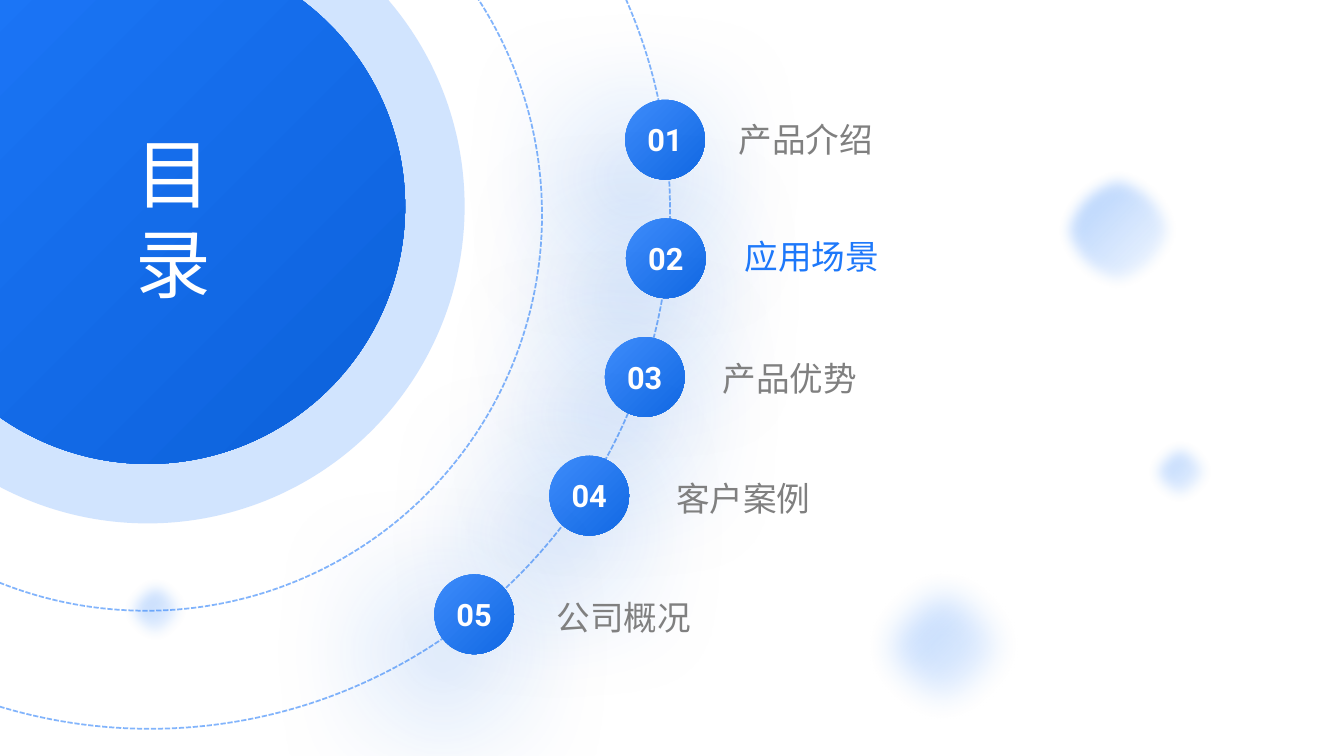
from lxml import etree
from pptx import Presentation
from pptx.dml.color import RGBColor
from pptx.enum.dml import MSO_LINE
from pptx.enum.shapes import MSO_SHAPE
from pptx.enum.text import MSO_ANCHOR, MSO_AUTO_SIZE, PP_ALIGN
from pptx.oxml.ns import qn
from pptx.util import Cm, Pt

OVAL = MSO_SHAPE.OVAL
DASH = MSO_LINE.SQUARE_DOT
MIDDLE = MSO_ANCHOR.MIDDLE
NO_FIT = MSO_AUTO_SIZE.NONE
LEFT, CENTER = PP_ALIGN.LEFT, PP_ALIGN.CENTER

CHINESE, LATIN = "Noto Sans CJK SC", "Roboto"
BLUE, GREY, WHITE = "1D78FA", "808080", "FFFFFF"

TITLE = "目\n录"
HUB = (3.72, 5.2)
HALO_SIZE, DISC_SIZE = 15.98, 12.98
RINGS = [(3.68, 5.41, 19.96), (3.78, 5.26, 26.21)]
TOPICS = [
    ("产品介绍", GREY, 16.76, (20.31, 3.51)),
    ("应用场景", BLUE, 16.78, (20.46, 6.45)),
    ("产品优势", GREY, 16.25, (19.9, 9.53)),
    ("客户案例", GREY, 14.85, (18.73, 12.55)),
    ("公司概况", GREY, 11.95, (15.72, 15.54)),
]
NODE_TOP, NODE_STEP, NODE_SIZE = 3.52, 2.99, 2.01
LABEL_WIDTH, LABEL_HEIGHT = 4.1, 1.27
BLOBS = [
    (23.83, 16.33, 4.67, 25),
    (29.77, 11.91, 1.93, 10),
    (28.18, 5.8, 3.23, 10),
    (3.94, 15.39, 1.93, 10),
]


def color(value):
    return RGBColor.from_string(value)


def add_child(parent, tag, **attributes):
    child = etree.SubElement(parent, qn(tag))
    for name, value in attributes.items():
        child.set(name, str(value))
    return child


def set_opacity(shape, *percents):
    for node, percent in zip(shape._element.spPr.iter(qn("a:srgbClr")), percents):
        add_child(node, "a:alpha", val=percent * 1000)


def add_circle(page, x, y, size):
    circle = page.shapes.add_shape(
        OVAL, Cm(x - size / 2), Cm(y - size / 2), Cm(size), Cm(size)
    )
    circle.shadow.inherit = False
    circle.fill.background()
    circle.line.fill.background()
    return circle


def fill_solid(shape, value):
    shape.fill.solid()
    shape.fill.fore_color.rgb = color(value)


def fill_gradient(shape, start, end):
    shape.fill.gradient()
    shape.fill.gradient_angle = 315
    for stop, value, position in zip(shape.fill.gradient_stops, (start, end), (0, 1)):
        stop.color.rgb = color(value)
        stop.position = position


def get_effects(shape):
    return shape._element.spPr.find(qn("a:effectLst"))


def add_glow(shape):
    shadow = add_child(
        get_effects(shape), "a:outerShdw",
        blurRad=Pt(100), dist=Pt(35), dir=130 * 60000, algn="ctr", rotWithShape=0,
    )
    tint = add_child(shadow, "a:srgbClr", val="1269E4")
    add_child(tint, "a:alpha", val=60000)


def write(shape, text, size, font, value, align=CENTER, bold=False):
    frame = shape.text_frame
    frame.text = text
    frame.word_wrap = False
    frame.auto_size = NO_FIT
    frame.vertical_anchor = MIDDLE
    for paragraph in frame.paragraphs:
        paragraph.alignment = align
        for span in paragraph.runs:
            span.font.size = Pt(size)
            span.font.name = font
            span.font.bold = bold
            span.font.color.rgb = color(value)
            add_child(span.font._element, "a:ea", typeface=font)


def add_hub(page):
    halo = add_circle(page, *HUB, HALO_SIZE)
    fill_solid(halo, BLUE)
    set_opacity(halo, 20)
    disc = add_circle(page, *HUB, DISC_SIZE)
    fill_gradient(disc, BLUE, "0C61DA")
    for place in RINGS:
        ring = add_circle(page, *place)
        ring.line.color.rgb = color(BLUE)
        ring.line.width = Pt(1.25)
        ring.line.dash_style = DASH
        set_opacity(ring, 55)


def add_title(page):
    title = page.shapes.title
    title.left, title.top, title.width, title.height = Cm(3.15), Cm(3.05), Cm(2.87), Cm(4.88)
    write(title, TITLE, 54, CHINESE, WHITE, LEFT)
    for paragraph in title.text_frame.paragraphs:
        paragraph.line_spacing = Pt(64)
        paragraph.space_before = Pt(0)
    page.shapes._spTree.append(title._element)


def add_blobs(page):
    for x, y, size, softness in BLOBS:
        blob = add_circle(page, x, y, size)
        fill_gradient(blob, BLUE, BLUE)
        set_opacity(blob, 40, 0)
        add_child(get_effects(blob), "a:softEdge", rad=Pt(softness))


def add_topics(page):
    for index, (name, value, node_x, (label_x, label_y)) in enumerate(TOPICS):
        node = add_circle(page, node_x, NODE_TOP + index * NODE_STEP, NODE_SIZE)
        fill_gradient(node, "3D8BFA", "1269E4")
        add_glow(node)
        write(node, f"{index + 1:02}", 22, LATIN, WHITE, bold=True)
        label = page.shapes.add_textbox(
            Cm(label_x - LABEL_WIDTH / 2), Cm(label_y - LABEL_HEIGHT / 2),
            Cm(LABEL_WIDTH), Cm(LABEL_HEIGHT),
        )
        write(label, name, 24, CHINESE, value)


def main():
    deck = Presentation()
    deck.slide_width, deck.slide_height = Cm(33.87), Cm(19.05)
    page = deck.slides.add_slide(deck.slide_layouts[5])
    add_hub(page)
    add_title(page)
    add_blobs(page)
    add_topics(page)
    deck.save("out.pptx")


if __name__ == "__main__":
    main()
